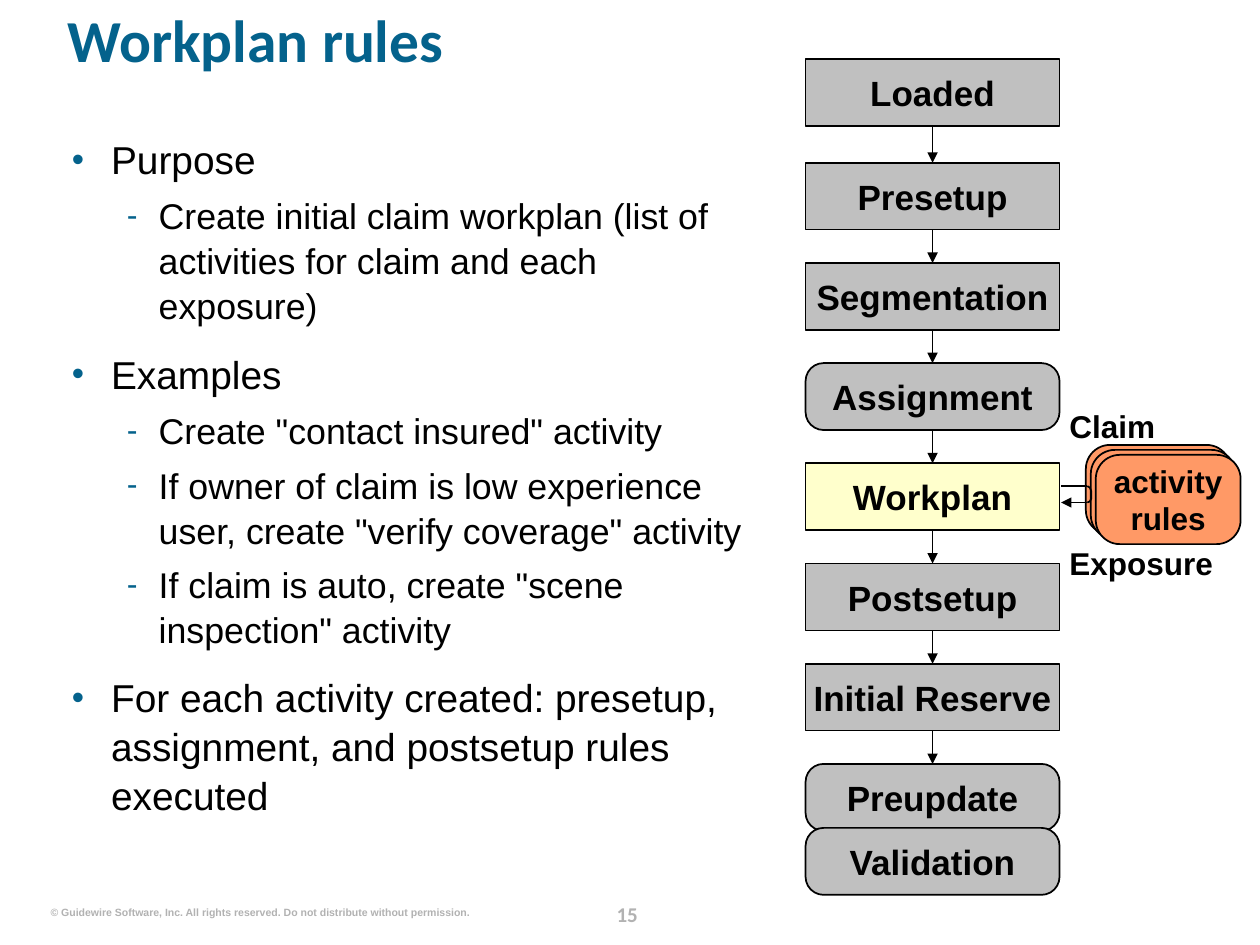
"""Build the workplan rules slide with its rule-set flow."""
from dataclasses import dataclass
from itertools import pairwise

import pptx
import pptx.dml.color
import pptx.enum.shapes
import pptx.enum.text
import pptx.oxml.ns
import pptx.util
from lxml import etree
from pptx.util import Cm, Pt

BLUE, GRAY, SILVER, BLACK = "04628C", "B2B2B2", "C0C0C0", "000000"
YELLOW, ORANGE = "FFFFCC", "FF9966"
RECTANGLE = pptx.enum.shapes.MSO_SHAPE.RECTANGLE
ROUNDED = pptx.enum.shapes.MSO_SHAPE.ROUNDED_RECTANGLE
STRAIGHT = pptx.enum.shapes.MSO_CONNECTOR.STRAIGHT
LEFT = pptx.enum.text.PP_ALIGN.LEFT
CENTER = pptx.enum.text.PP_ALIGN.CENTER
TOP = pptx.enum.text.MSO_ANCHOR.TOP
MIDDLE = pptx.enum.text.MSO_ANCHOR.MIDDLE
FIRST_STEP_TOP, STEP_PITCH = 3.28, 2.02


@dataclass
class Box:
    text: str
    left: float
    top: float
    width: float
    height: float
    fill: str = SILVER
    kind: int = RECTANGLE
    size: float = 20


@dataclass
class Label:
    text: str
    left: float
    top: float
    width: float
    height: float
    size: float
    color: str = BLACK
    font: str = "Arial"
    align: int = LEFT
    wrap: bool = True


@dataclass
class BulletLevel:
    char: str
    size: float
    margin: float
    hanging: float
    space_before: float


BULLET_LEVELS = [
    BulletLevel("•", 22.2, 0.79, 0.79, 12),
    BulletLevel("-", 20.4, 1.75, 0.64, 5.5),
]
BULLETS = [
    (0, "Purpose"),
    (1, "Create initial claim workplan (list of activities for claim and each exposure)"),
    (0, "Examples"),
    (1, 'Create "contact insured" activity'),
    (1, 'If owner of claim is low experience user, create "verify coverage" activity'),
    (1, 'If claim is auto, create "scene inspection" activity'),
    (0, "For each activity created: presetup, assignment, and postsetup rules executed"),
]
MIDDLE_STEPS = [
    ("Presetup", SILVER, RECTANGLE),
    ("Segmentation", SILVER, RECTANGLE),
    ("Assignment", SILVER, ROUNDED),
    ("Workplan", YELLOW, RECTANGLE),
    ("Postsetup", SILVER, RECTANGLE),
    ("Initial Reserve", SILVER, RECTANGLE),
    ("Preupdate", SILVER, ROUNDED),
]
LABELS = [
    Label("15", 11.92, 18.11, 1.45, 0.64, 12, GRAY, "Calibri", CENTER),
    Label("© Guidewire Software, Inc. All rights reserved. Do not distribute without permission.",
          1.02, 18.26, 8.46, 0.25, 6, GRAY, wrap=False),
    Label("Claim", 21.56, 8.2, 3.1, 0.76, 18),
    Label("Exposure", 21.56, 10.97, 3.1, 0.76, 18),
]


def rgb(color: str) -> pptx.dml.color.RGBColor:
    return pptx.dml.color.RGBColor.from_string(color)


def style_font(paragraph, size: float, color: str, bold: bool = True, name: str = "Arial") -> None:
    font = paragraph.font
    font.name, font.size, font.bold = name, Pt(size), bold
    font.color.rgb = rgb(color)


def prepare_frame(frame, anchor: int, wrap: bool = True) -> None:
    frame.margin_left = frame.margin_right = frame.margin_top = frame.margin_bottom = 0
    frame.auto_size = pptx.enum.text.MSO_AUTO_SIZE.NONE
    frame.word_wrap = wrap
    frame.vertical_anchor = anchor


def place(shape, left: float, top: float, width: float, height: float) -> None:
    shape.left, shape.top = Cm(left), Cm(top)
    shape.width, shape.height = Cm(width), Cm(height)


def outline(shape) -> None:
    shape.line.color.rgb = rgb(BLACK)
    shape.line.width = Pt(1)


def add_element(parent, tag: str, **attributes: str):
    return etree.SubElement(parent, pptx.oxml.ns.qn(tag), attributes)


def add_box(slide, box: Box):
    shape = slide.shapes.add_shape(
        box.kind, Cm(box.left), Cm(box.top), Cm(box.width), Cm(box.height))
    shape.shadow.inherit = False
    shape.fill.solid()
    shape.fill.fore_color.rgb = rgb(box.fill)
    outline(shape)
    if box.kind == ROUNDED:
        shape.adjustments[0] = 0.27
    if box.text:
        prepare_frame(shape.text_frame, MIDDLE)
        paragraph = shape.text_frame.paragraphs[0]
        paragraph.text, paragraph.alignment = box.text, CENTER
        style_font(paragraph, box.size, BLACK)
    return shape


def add_label(slide, label: Label) -> None:
    shape = slide.shapes.add_textbox(
        Cm(label.left), Cm(label.top), Cm(label.width), Cm(label.height))
    prepare_frame(shape.text_frame, MIDDLE, label.wrap)
    paragraph = shape.text_frame.paragraphs[0]
    paragraph.text, paragraph.alignment = label.text, label.align
    style_font(paragraph, label.size, label.color, name=label.font)


def add_line(slide, start: tuple = (0, 0), end: tuple = (0, 0), arrow: bool = True):
    connector = slide.shapes.add_connector(STRAIGHT, *map(Cm, start + end))
    outline(connector)
    if arrow:
        add_element(connector.line._get_or_add_ln(), "a:tailEnd", type="triangle")
    add_element(connector._element.spPr, "a:effectLst")
    return connector


def add_title(slide) -> None:
    title = slide.shapes.title
    place(title, 1.37, 0.33, 23.11, 2.06)
    prepare_frame(title.text_frame, TOP)
    paragraph = title.text_frame.paragraphs[0]
    paragraph.text, paragraph.alignment = "Workplan rules", LEFT
    paragraph.line_spacing = 0.8
    style_font(paragraph, 34, BLUE, name="Calibri")


def add_bullets(slide) -> None:
    body = slide.placeholders[1]
    place(body, 1.45, 2.69, 13.82, 14.43)
    frame = body.text_frame
    prepare_frame(frame, TOP)
    for index, (depth, text) in enumerate(BULLETS):
        level = BULLET_LEVELS[depth]
        paragraph = frame.add_paragraph() if index else frame.paragraphs[0]
        paragraph.text, paragraph.level = text, depth
        properties = paragraph._p.get_or_add_pPr()
        properties.set("marL", str(Cm(level.margin)))
        properties.set("indent", str(-Cm(level.hanging)))
        add_element(add_element(properties, "a:buClr"), "a:srgbClr", val=BLUE)
        add_element(properties, "a:buSzPct", val="90000")
        add_element(properties, "a:buFont", typeface="Arial")
        add_element(properties, "a:buChar", char=level.char)
        paragraph.line_spacing = 1.05
        paragraph.space_before = Pt(level.space_before if index else 0)
        style_font(paragraph, level.size, BLACK, bold=False)


def add_flow(slide) -> None:
    left, width, height = 16.24, 5.12, 1.35
    boxes = [Box("Loaded", left, 1.19, width, height)]
    boxes += [Box(text, left, FIRST_STEP_TOP + index * STEP_PITCH, width, height, fill, kind)
              for index, (text, fill, kind) in enumerate(MIDDLE_STEPS)]
    steps = [add_box(slide, box) for box in boxes]
    for upper, lower in pairwise(steps):
        arrow = add_line(slide)
        arrow.begin_connect(upper, 2)
        arrow.end_connect(lower, 0)
    add_box(slide, Box("Validation", left, 16.69, width, height, kind=ROUNDED))


def add_activity_loop(slide) -> None:
    for index, text in enumerate(["", "", "activity rules"]):
        offset = index * 0.1
        add_box(slide, Box(text, 21.89 + offset, 8.97 + offset, 2.92, 1.8, ORANGE, ROUNDED, 18))
    builder = slide.shapes.build_freeform(Cm(21.92), Cm(9.8))
    bend = [(21.97, 9.83), (22, 9.9), (22, 10.05), (21.97, 10.11), (21.92, 10.13)]
    builder.add_line_segments([(Cm(x), Cm(y)) for x, y in bend], close=False)
    turn = builder.convert_to_shape()
    turn.shadow.inherit = False
    turn.fill.background()
    outline(turn)
    add_line(slide, (21.92, 9.8), (21.39, 9.8), arrow=False)
    add_line(slide, (21.92, 10.13), (21.39, 10.13))


def main() -> None:
    presentation = pptx.Presentation()
    presentation.slide_width, presentation.slide_height = Cm(25.4), Cm(19.05)
    slide = presentation.slides.add_slide(presentation.slide_layouts[1])
    add_title(slide)
    add_bullets(slide)
    add_flow(slide)
    for label in LABELS:
        add_label(slide, label)
    add_activity_loop(slide)
    presentation.save("out.pptx")


if __name__ == "__main__":
    main()
